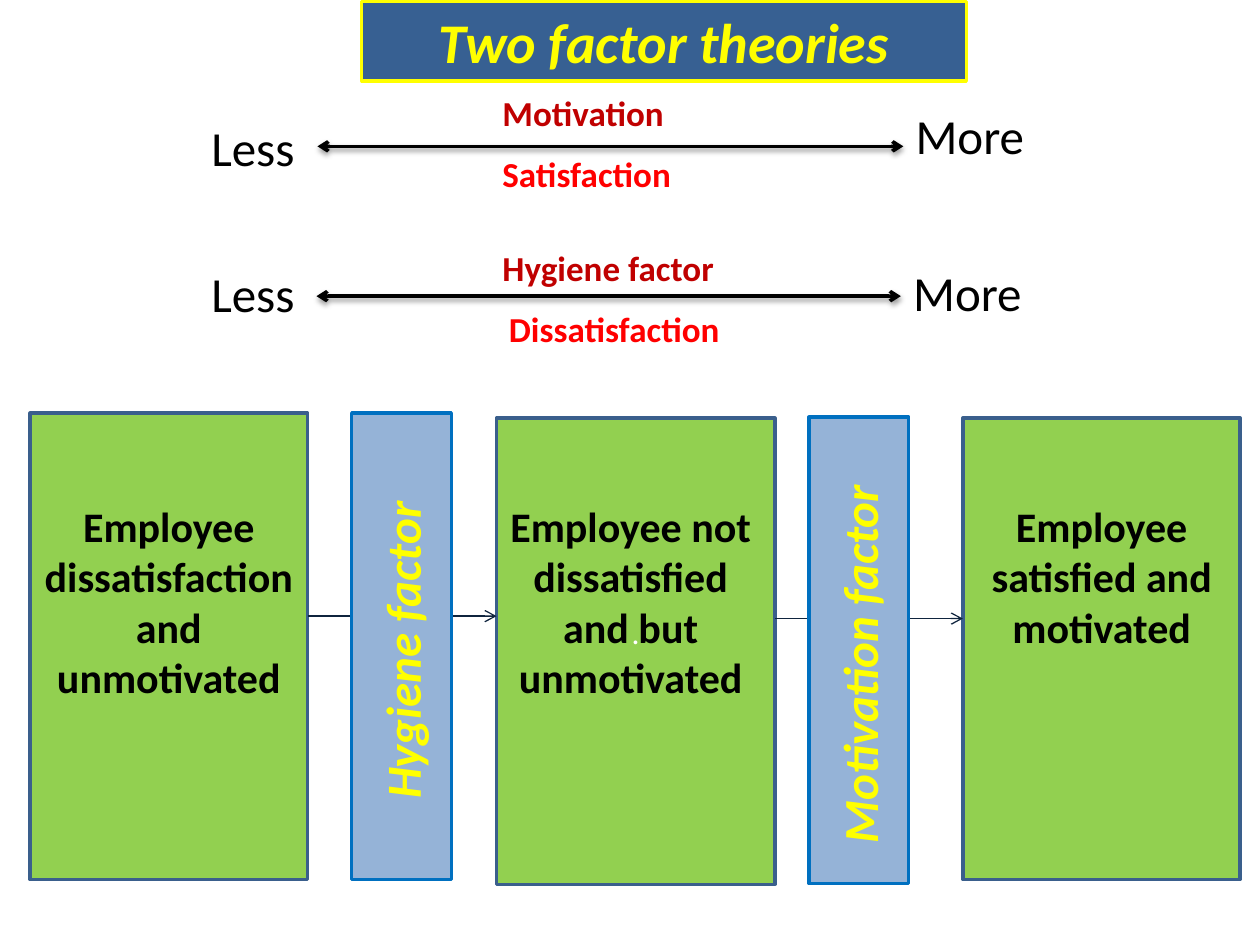
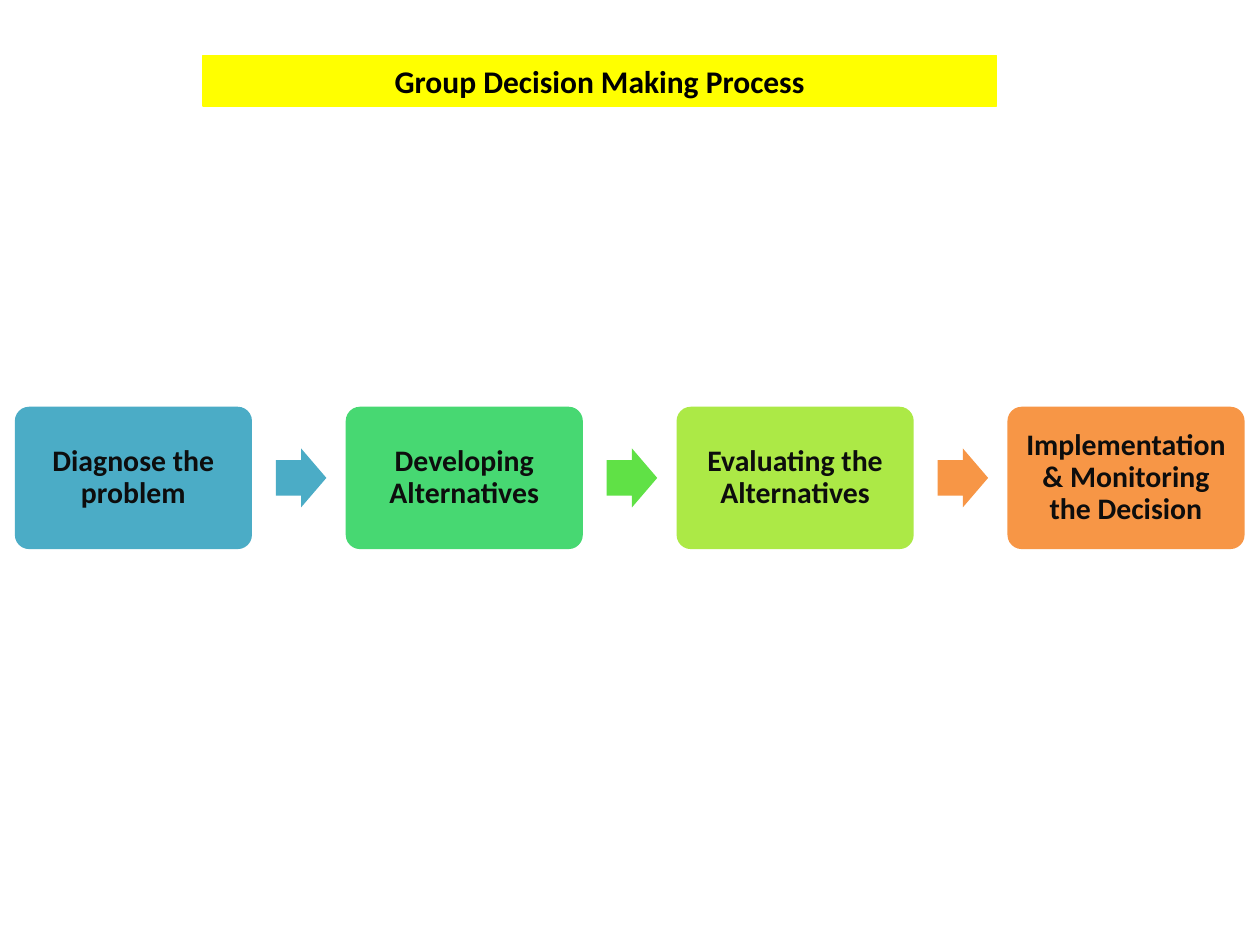
from dataclasses import dataclass

from lxml import etree
from pptx import Presentation
from pptx.dml.color import RGBColor
from pptx.enum.shapes import MSO_CONNECTOR, MSO_SHAPE
from pptx.enum.text import MSO_ANCHOR, MSO_AUTO_SIZE, PP_ALIGN
from pptx.oxml import parse_xml
from pptx.oxml.ns import nsdecls, qn
from pptx.util import Cm, Pt


@dataclass(frozen=True)
class Theme:
    font: str = "Calibri"
    black: str = "000000"
    white: str = "FFFFFF"
    yellow: str = "FFFF00"
    navy: str = "376092"
    state: str = "92D050"
    state_line: str = "3A5F8C"
    bar: str = "95B3D7"
    bar_line: str = "0070C0"
    flow: str = "0F243E"
    cause: str = "C00000"
    effect: str = "FF0000"
    step_text: str = "0D0D0D"
    title: int = 32
    big: int = 28
    state_size: int = 24
    label: int = 20
    small: int = 18
    step: int = 17


T = Theme()

# Positions and sizes are in centimetres.
# Scale: start x, end x, y; then (text, left, top) for its ends and labels
SCALES = [
    {"line": (6.4, 18.21, 2.95),
     "ends": [("Less", 4.01, 2.24), ("More", 18.21, 2.01)],
     "labels": [("Motivation", 9.88, 1.73, T.cause),
                ("Satisfaction", 9.88, 2.95, T.effect)]},
    {"line": (6.38, 18.16, 5.97),
     "ends": [("Less", 4.01, 5.18), ("More", 18.16, 5.16)],
     "labels": [("Hygiene factor", 9.88, 4.85, T.cause),
                ("Dissatisfaction", 10.01, 6.07, T.effect)]},
]
# State: box, then left and width of its text, then paragraphs
STATES = [
    ((0.61, 8.33, 5.59, 9.4), (0.61, 5.59),
     ["Employee dissatisfaction", "and unmotivated"]),
    ((10.01, 8.43, 5.61, 9.4), (10.01, 5.41),
     ["Employee not dissatisfied and but unmotivated"]),
    ((19.41, 8.43, 5.59, 9.3), (19.71, 5.0),
     ["Employee satisfied and motivated"]),
]
STATE_TEXT_TOP, STATE_TEXT_HEIGHT = 9.96, 4.37
# Factor: text, box of its bar, text length, height of the arrow behind it
FACTORS = [
    ("Hygiene factor", (7.09, 8.33, 2.01, 9.4), 6.63, 12.42),
    ("Motivation factor", (16.31, 8.41, 2.01, 9.4), 8.41, 12.47),
]
FACTOR_MIDDLE, FACTOR_HEIGHT = 13.04, 1.45

# Step: text, card colour, colour of the arrow that follows
STEPS = [
    ("Diagnose the problem", "4BACC6", "4BACC6"),
    ("Developing Alternatives", "47D872", "60E146"),
    ("Evaluating the Alternatives", "ACE946", "F79646"),
    ("Implementation & Monitoring the Decision", "F79646", None),
]
STEP_PITCH = 6.67
FIRST_CARD = (0.3, 8.2, 4.78, 2.87)
FIRST_ARROW = (5.56, 9.04, 1.02, 1.19)

SHADOW = (f'<a:effectLst {nsdecls("a")}><a:outerShdw blurRad="{Pt(3.1)}" '
          f'dist="{Pt(1.6)}" dir="5400000" rotWithShape="0">'
          '<a:srgbClr val="000000"><a:alpha val="38000"/></a:srgbClr>'
          '</a:outerShdw></a:effectLst>')


def rgb(value):
    return RGBColor.from_string(value)


def cm(box):
    return [Cm(v) for v in box]


def paint(s, fill, line=None, width=2):
    s.fill.solid()
    s.fill.fore_color.rgb = rgb(fill)
    if line:
        s.line.color.rgb = rgb(line)
        s.line.width = Pt(width)
    else:
        s.line.fill.background()


def write(sp, paragraphs, size, color, align=PP_ALIGN.LEFT,
          anchor=MSO_ANCHOR.TOP, spacing=None, **font):
    tf = sp.text_frame
    tf.word_wrap = True
    tf.auto_size = MSO_AUTO_SIZE.NONE
    tf.vertical_anchor = anchor
    tf.text = "\n".join(paragraphs)
    for p in tf.paragraphs:
        p.alignment = align
        p.line_spacing = spacing
        for r in p.runs:
            r.font.color.rgb = rgb(color)
            for name, value in {"name": T.font, "size": Pt(size), **font}.items():
                setattr(r.font, name, value)


def add_block(s, kind, box, fill, line=None):
    sp = s.shapes.add_shape(kind, *cm(box))
    sp.shadow.inherit = False
    paint(sp, fill, line)
    return sp


def add_text(s, box, paragraphs, size, color, **fmt):
    sp = s.shapes.add_textbox(*cm(box))
    write(sp, paragraphs, size, color, **fmt)
    return sp


def add_arrow(s, x1, x2, y, color, width, ends, effects):
    c = s.shapes.add_connector(MSO_CONNECTOR.STRAIGHT, *cm((x1, y, x2, y)))
    c.line.color.rgb = rgb(color)
    c.line.width = Pt(width)
    ln = c.line._get_or_add_ln()
    for end in ends:
        etree.SubElement(ln, qn(f"a:{end}"), type="arrow")
    ln.addnext(parse_xml(effects))


def add_slide(prs, title, box, geometry, colors, size, color, **font):
    """Add a title-only slide whose title is a filled, outlined band."""
    s = prs.slides.add_slide(prs.slide_layouts[5])
    sp = s.shapes.title
    sp.left, sp.top, sp.width, sp.height = cm(box)
    sp._element.spPr.append(parse_xml(
        f'<a:prstGeom {nsdecls("a")} prst="{geometry}"><a:avLst/></a:prstGeom>'))
    paint(sp, *colors)
    write(sp, [title], size, color, align=PP_ALIGN.CENTER,
          anchor=MSO_ANCHOR.MIDDLE, bold=True, **font)
    return s


def build_theories(prs):
    s = add_slide(prs, "Two factor theories", (7.29, 0.03, 12.19, 1.6),
                  "roundRect", (T.navy, T.yellow), T.title, T.yellow, italic=True)
    for scale in SCALES:
        add_arrow(s, *scale["line"], T.black, 2, ("headEnd", "tailEnd"), SHADOW)
        for text, x, y in scale["ends"]:
            add_text(s, (x, y, 2.79, 1.45), [text], T.big, T.black)
        for text, x, y, color in scale["labels"]:
            add_text(s, (x, y, 5.41, 1.12), [text], T.label, color, bold=True)

    boxes = [add_block(s, MSO_SHAPE.RECTANGLE, box, T.state, T.state_line)
             for box, _, _ in STATES]
    write(boxes[1], ["."], T.small, T.white, align=PP_ALIGN.CENTER,
          anchor=MSO_ANCHOR.MIDDLE)
    boxes[1].text_frame.margin_bottom = Cm(0.89)
    for (x, _, w, _), text_span, paragraphs in STATES:
        add_text(s, (text_span[0], STATE_TEXT_TOP, text_span[1], STATE_TEXT_HEIGHT),
                 paragraphs, T.state_size, T.black, align=PP_ALIGN.CENTER, bold=True)

    for i, (text, bar, length, y) in enumerate(FACTORS):
        left, right = STATES[i][0], STATES[i + 1][0]
        add_arrow(s, left[0] + left[2], right[0], y, T.flow, 0.75, ("tailEnd",),
                  f'<a:effectLst {nsdecls("a")}/>')
        add_block(s, MSO_SHAPE.RECTANGLE, bar, T.bar, T.bar_line)
        middle = bar[0] + bar[2] / 2
        sp = add_text(s, (middle - length / 2, FACTOR_MIDDLE - FACTOR_HEIGHT / 2,
                          length, FACTOR_HEIGHT),
                      [text], T.big, T.yellow, bold=True, italic=True)
        sp.rotation = 270


def build_process(prs):
    s = add_slide(prs, "Group Decision Making Process", (4.09, 1.12, 16, 1.02),
                  "rect", (T.yellow, T.yellow, 0.75), T.small, T.black)
    for i, (text, card_color, arrow_color) in enumerate(STEPS):
        shift = i * STEP_PITCH
        x, *rest = FIRST_CARD
        card = add_block(s, MSO_SHAPE.ROUNDED_RECTANGLE, (x + shift, *rest), card_color)
        card.adjustments[0] = 0.1
        for side in ("left", "right", "top", "bottom"):
            setattr(card.text_frame, f"margin_{side}", Cm(0.18))
        write(card, [text], T.step, T.step_text, align=PP_ALIGN.CENTER,
              anchor=MSO_ANCHOR.MIDDLE, spacing=0.9, bold=True)
        if arrow_color:
            x, *rest = FIRST_ARROW
            arrow = add_block(s, MSO_SHAPE.RIGHT_ARROW, (x + shift, *rest), arrow_color)
            arrow.adjustments[0] = 0.6


def main():
    prs = Presentation()
    prs.slide_width, prs.slide_height = Cm(25.4), Cm(19.05)
    build_theories(prs)
    build_process(prs)
    prs.save("out.pptx")


if __name__ == "__main__":
    main()
